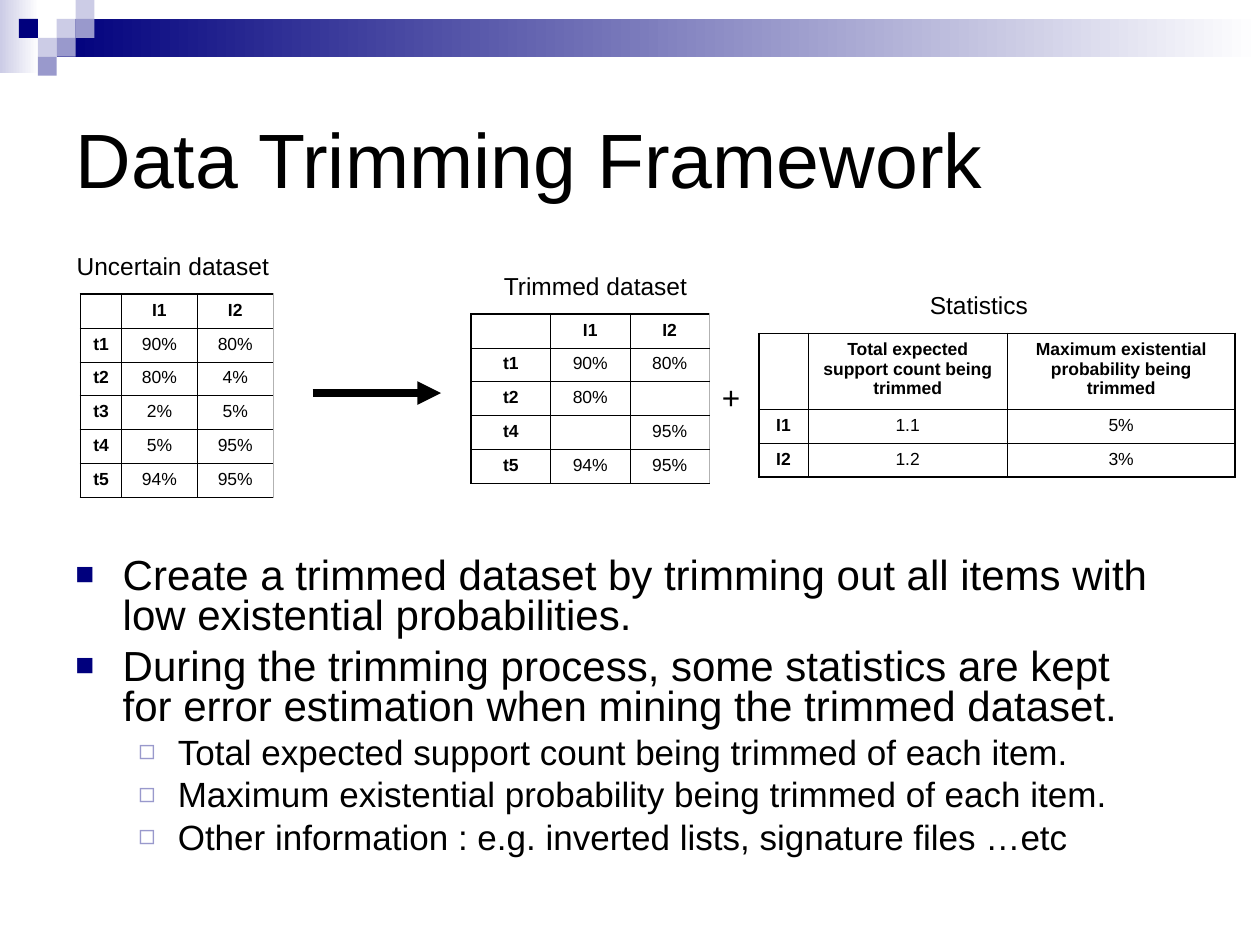
"""Build the Data Trimming Framework slide."""
from lxml import etree
from pptx import Presentation
from pptx.dml.color import RGBColor
from pptx.enum.shapes import MSO_CONNECTOR, MSO_SHAPE
from pptx.enum.text import MSO_ANCHOR, MSO_AUTO_SIZE, PP_ALIGN
from pptx.oxml.ns import qn
from pptx.util import Pt

RECT, STRAIGHT = MSO_SHAPE.RECTANGLE, MSO_CONNECTOR.STRAIGHT
LEFT, CENTER = PP_ALIGN.LEFT, PP_ALIGN.CENTER
TOP, MIDDLE = MSO_ANCHOR.TOP, MSO_ANCHOR.MIDDLE
NO_FIT = MSO_AUTO_SIZE.NONE

THEME = {
    "font": "Arial",
    "text": "000000", "navy": "00007D", "violet": "9999CC",
    "pale": "CCCCE6", "white": "FFFFFF", "edge": "B2B2B2",
    "title": 44, "body": 24, "sub": 20, "plus": 18, "label": 14, "cell": 10,
    "thin": 0.45, "thick": 1.08, "arrow": 4.5,
}

TITLE = "Data Trimming Framework"
TITLE_BOX = (36, 36, 648, 108)
GRADIENTS = [((0, 0, 22.3, 41.8), "pale"), ((32.4, 10.8, 687.6, 21.6), "navy")]
SQUARE = 10.8
SQUARES = [(3, 1, "pale"), (4, 0, "pale"), (4, 1, "violet"), (2, 2, "pale"),
           (1, 1, "navy"), (3, 2, "violet"), (2, 3, "violet")]

ROW = 19.4
TABLES = [
    {"at": (46, 168), "cols": (23.4, 43.4, 43.2), "head": ROW, "right": ("edge", "thin"),
     "rows": [("", "I1", "I2"), ("t1", "90%", "80%"), ("t2", "80%", "4%"),
              ("t3", "2%", "5%"), ("t4", "5%", "95%"), ("t5", "94%", "95%")]},
    {"at": (269.2, 179.4), "cols": (45.4, 45.4, 45.4), "head": ROW, "right": ("edge", "thin"),
     "rows": [("", "I1", "I2"), ("t1", "90%", "80%"), ("t2", "80%", ""),
              ("t4", "", "95%"), ("t5", "94%", "95%")]},
    {"at": (433.6, 190.6), "cols": (28.2, 113.8, 130.2), "head": 43.2, "right": ("text", "thick"),
     "rows": [("", "Total expected support count being trimmed",
               "Maximum existential probability being trimmed"),
              ("I1", "1.1", "5%"), ("I2", "1.2", "3%")]},
]
LABELS = [
    ("Uncertain dataset", "label", (36.7, 139.7, 136, 24.5)),
    ("Trimmed dataset", "label", (280.8, 151.2, 170, 24.5)),
    ("Statistics", "label", (524.2, 162, 170, 24.5)),
    ("+", "plus", (405.4, 212.4, 23, 28.8)),
]
ARROW = (178.6, 224.6, 252, 224.6)

BODY_BOX = (36, 315.4, 630, 187.2)
LEVELS = [
    {"size": "body", "left": 27, "hang": 27, "before": 6, "char": "■", "color": "navy", "pct": 75},
    {"size": "sub", "left": 58.5, "hang": 22.5, "before": 5, "char": "◻", "color": "violet", "pct": 80},
]
BODY = [
    (0, "Create a trimmed dataset by trimming out all items with low existential probabilities."),
    (0, "During the trimming process, some statistics are kept for error estimation "
        "when mining the trimmed dataset."),
    (1, "Total expected support count being trimmed of each item."),
    (1, "Maximum existential probability being trimmed of each item."),
    (1, "Other information : e.g. inverted lists, signature files …etc"),
]


def rgb(name):
    return RGBColor.from_string(THEME[name])


def style(p, size, bold=False):
    for r in p.runs:
        r.font.name, r.font.size, r.font.bold = THEME["font"], Pt(THEME[size]), bold
        r.font.color.rgb = rgb("text")


def add_text(s, box):
    tf = s.shapes.add_textbox(*map(Pt, box)).text_frame
    tf.word_wrap = True
    return tf


def add_rect(s, box):
    sp = s.shapes.add_shape(RECT, *map(Pt, box))
    sp.shadow.inherit = False
    sp.line.fill.background()
    return sp


def add_banner(s):
    for box, color in GRADIENTS:
        fill = add_rect(s, box).fill
        fill.gradient()
        fill.gradient_angle = 0
        for stop, name in zip(fill.gradient_stops, (color, "white")):
            stop.color.rgb = rgb(name)
    for col, row, color in SQUARES:
        fill = add_rect(s, (col * SQUARE, row * SQUARE, SQUARE, SQUARE)).fill
        fill.solid()
        fill.fore_color.rgb = rgb(color)


def add_title(s):
    sp = s.shapes.title
    sp.left, sp.top, sp.width, sp.height = map(Pt, TITLE_BOX)
    tf = sp.text_frame
    tf.text = TITLE
    tf.auto_size, tf.vertical_anchor = NO_FIT, MIDDLE
    tf.paragraphs[0].alignment = LEFT
    style(tf.paragraphs[0], "title")


def add_bullet(p, level):
    pPr = p._p.get_or_add_pPr()
    pPr.set("marL", str(Pt(level["left"])))
    pPr.set("indent", str(-Pt(level["hang"])))
    color = etree.SubElement(pPr, qn("a:buClr"))
    etree.SubElement(color, qn("a:srgbClr"), val=THEME[level["color"]])
    etree.SubElement(pPr, qn("a:buSzPct"), val=str(level["pct"] * 1000))
    etree.SubElement(pPr, qn("a:buFont"), typeface=THEME["font"])
    etree.SubElement(pPr, qn("a:buChar"), char=level["char"])


def add_body(s):
    tf = add_text(s, BODY_BOX)
    for i, (depth, text) in enumerate(BODY):
        level = LEVELS[depth]
        p = tf.add_paragraph() if i else tf.paragraphs[0]
        p.text, p.level, p.line_spacing = text, depth, 0.8
        if i:
            p.space_before = Pt(level["before"])
        add_bullet(p, level)
        style(p, level["size"])


def set_borders(cell, borders):
    tcPr = cell._tc.get_or_add_tcPr()
    for side, (color, width) in zip("LRTB", borders):
        ln = etree.SubElement(tcPr, qn("a:ln" + side), w=str(Pt(THEME[width])))
        fill = etree.SubElement(ln, qn("a:solidFill"))
        etree.SubElement(fill, qn("a:srgbClr"), val=THEME[color])
    cell.fill.background()


def add_grid(s, data):
    rows, cols = data["rows"], data["cols"]
    heights = [data["head"]] + [ROW] * (len(rows) - 1)
    size = (sum(cols), sum(heights))
    table = s.shapes.add_table(len(rows), len(cols), *map(Pt, data["at"] + size)).table
    table.first_row = table.horz_banding = False
    for column, width in zip(table.columns, cols):
        column.width = Pt(width)
    thin, thick = ("text", "thin"), ("text", "thick")
    for i, row in enumerate(rows):
        table.rows[i].height = Pt(heights[i])
        for j, text in enumerate(row):
            cell = table.cell(i, j)
            cell.text, cell.vertical_anchor = text, TOP
            p = cell.text_frame.paragraphs[0]
            p.alignment = CENTER
            style(p, "cell", bold=i == 0 or j == 0)
            if not text:
                p._p.get_or_add_endParaRPr().set("sz", str(THEME["cell"] * 100))
            set_borders(cell, (thin if j else thick,
                               data["right"] if j == len(cols) - 1 else thin,
                               thin if i else thick,
                               thick if i == len(rows) - 1 else thin))


def add_arrow(s):
    line = s.shapes.add_connector(STRAIGHT, *map(Pt, ARROW))
    line.line.color.rgb = rgb("text")
    line.line.width = Pt(THEME["arrow"])
    etree.SubElement(line.line._get_or_add_ln(), qn("a:tailEnd"), type="triangle")
    etree.SubElement(line._element.spPr, qn("a:effectLst"))


def main():
    prs = Presentation()
    prs.slide_width, prs.slide_height = Pt(720), Pt(540)
    s = prs.slides.add_slide(prs.slide_layouts[5])
    add_banner(s)
    add_title(s)
    add_body(s)
    for data in TABLES:
        add_grid(s, data)
    for text, size, box in LABELS:
        tf = add_text(s, box)
        tf.text = text
        style(tf.paragraphs[0], size)
    add_arrow(s)
    prs.save("out.pptx")


if __name__ == "__main__":
    main()
